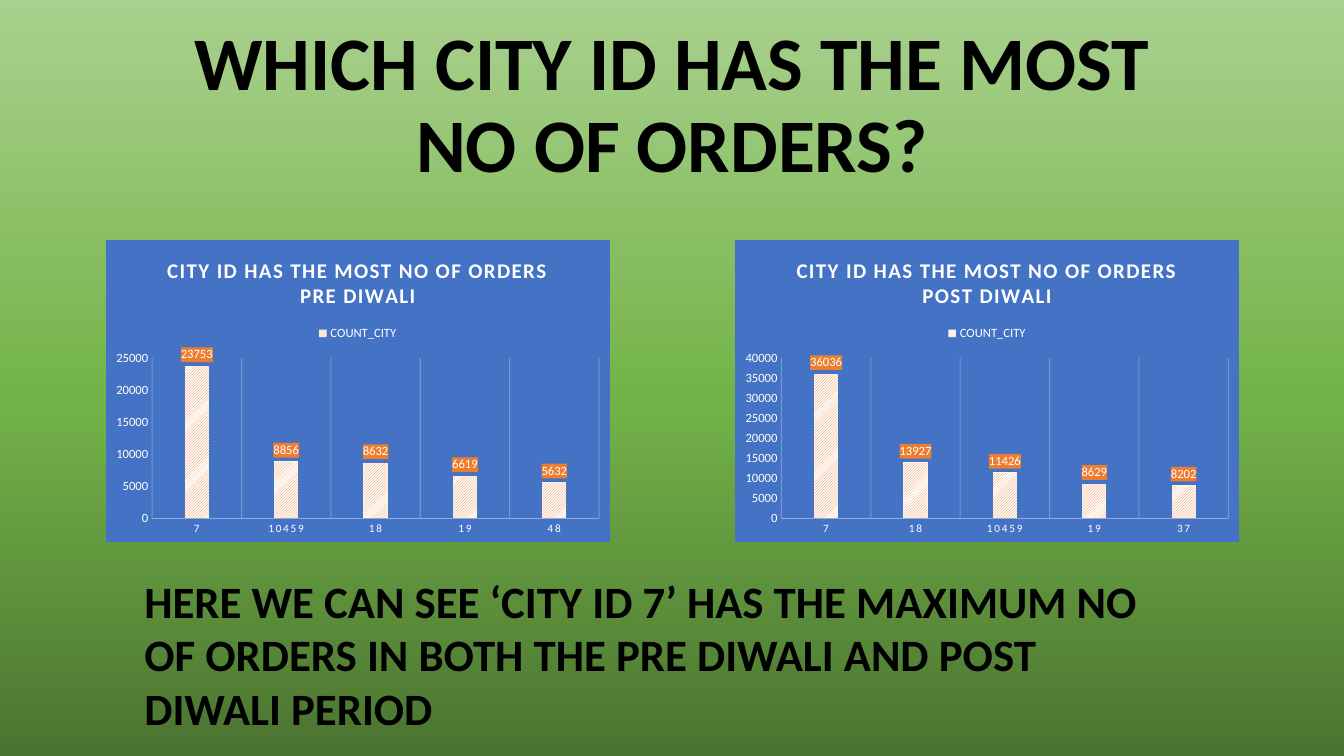
from lxml.etree import SubElement
from pptx import Presentation
from pptx.chart.data import CategoryChartData
from pptx.dml.color import RGBColor
from pptx.enum.chart import (XL_CHART_TYPE, XL_LABEL_POSITION as LabelPos,
                             XL_LEGEND_POSITION as LegendPos, XL_TICK_MARK as Tick)
from pptx.enum.dml import MSO_PATTERN
from pptx.enum.text import MSO_ANCHOR as Anchor, PP_ALIGN as Align
from pptx.oxml import parse_xml
from pptx.oxml.ns import nsdecls, qn
from pptx.util import Pt


def rgb(color):
    return RGBColor.from_string(color)


class Deck:
    FONT = "Calibri"
    WHITE, BLACK = "FFFFFF", "000000"
    BLUE, PALE_BLUE, ORANGE = "4472C4", "8FAADC", "ED7D31"

    def __init__(self, width, height):
        self.prs = Presentation()
        self.prs.slide_width, self.prs.slide_height = Pt(width), Pt(height)
        self.slide = self.prs.slides.add_slide(self.prs.slide_layouts[6])

    def style(self, font, size, color, bold=False):
        font.name, font.size, font.bold = self.FONT, Pt(size), bold
        font.color.rgb = rgb(color)

    def background(self, stops, angle):
        fill = self.slide.background.fill
        fill.gradient()
        fill.gradient_angle = angle
        stop_list = self.slide.background._cSld.find(".//" + qn("a:gsLst"))
        for old in list(stop_list):
            stop_list.remove(old)
        for position, color in stops:
            stop = SubElement(stop_list, qn("a:gs"), pos=str(position * 1000))
            SubElement(stop, qn("a:srgbClr"), val=color)

    def text(self, box, text, size, align=Align.LEFT, anchor=Anchor.TOP, spacing=1.0):
        tf = self.slide.shapes.add_textbox(*map(Pt, box)).text_frame
        tf.word_wrap, tf.vertical_anchor = True, anchor
        p = tf.paragraphs[0]
        p.text, p.alignment, p.line_spacing = text, align, spacing
        self.style(p.runs[0].font, size, self.BLACK, bold=True)

    def solid(self, tag, color, line=""):
        return parse_xml(f'<{tag} {nsdecls("c", "a")}><a:solidFill><a:srgbClr val="{color}"/>'
                         f'</a:solidFill>{line}</{tag}>')

    def column_chart(self, box, title, series_name, counts, top, step):
        data = CategoryChartData()
        data.categories = list(counts)
        data.add_series(series_name, counts.values())
        chart = self.slide.shapes.add_chart(
            XL_CHART_TYPE.COLUMN_CLUSTERED, *map(Pt, box), data).chart
        self.style(chart.font, 10, self.BLACK)
        border = (f'<a:ln w="9525"><a:solidFill><a:srgbClr val="{self.BLUE}"/>'
                  '</a:solidFill></a:ln>')
        chart._chartSpace.find(qn("c:chart")).addnext(self.solid("c:spPr", self.BLUE, border))

        # Title and legend
        tf = chart.chart_title.text_frame
        tf.text = title
        r = tf.paragraphs[0].runs[0]
        self.style(r.font, 15, self.WHITE, bold=True)
        r.font._element.set("spc", "100")
        chart.chart_title.include_in_layout = False
        chart.has_legend = True
        chart.legend.position = LegendPos.TOP
        chart.legend.include_in_layout = False
        self.style(chart.legend.font, 9, self.WHITE)

        # Axes
        cat, val = chart.category_axis, chart.value_axis
        for axis, size in ((cat, 8), (val, 9)):
            self.style(axis.tick_labels.font, size, self.WHITE)
            axis.major_tick_mark = axis.minor_tick_mark = Tick.NONE
        cat.tick_labels.font._element.set("spc", "120")
        cat.format.line.color.rgb = rgb(self.PALE_BLUE)
        cat.format.line.width = Pt(0.25)
        cat.has_major_gridlines = True
        grid = cat.major_gridlines.format.line
        grid.color.rgb, grid.width = rgb(self.WHITE), Pt(0.75)
        grid_color = cat._element.find(f'{qn("c:majorGridlines")}//{qn("a:srgbClr")}')
        SubElement(grid_color, qn("a:alpha"), val="25000")
        val.has_major_gridlines = False
        val.format.line.fill.background()
        val.minimum_scale, val.maximum_scale, val.major_unit = 0, top, step

        # Hatched columns with value labels
        plot = chart.plots[0]
        plot.gap_width, plot.overlap, plot.vary_by_categories = 269, -20, False
        series = plot.series[0]
        fill = series.format.fill
        fill.patterned()
        fill.pattern = MSO_PATTERN.LIGHT_UPWARD_DIAGONAL
        fill.fore_color.rgb, fill.back_color.rgb = rgb(self.ORANGE), rgb(self.WHITE)
        labels = series.data_labels
        labels.show_value, labels.position = True, LabelPos.OUTSIDE_END
        self.style(labels.font, 9, self.WHITE)
        labels._element.find(qn("c:txPr")).addprevious(self.solid("c:spPr", self.ORANGE))


def main():
    deck = Deck(960, 540)
    deck.background([(0, "4B7430"), (48, "74B349"), (100, "A9D18E")], angle=90)

    # Heading
    deck.text((120, 42.5, 720, 96), "WHICH CITY ID HAS THE MOST NO OF ORDERS?", 54,
              Align.CENTER, Anchor.BOTTOM, 0.9)

    # Orders by city before and after the festival
    periods = [
        ("PRE", {"7": 23753, "10459": 8856, "18": 8632, "19": 6619, "48": 5632}, 25000),
        ("POST", {"7": 36036, "18": 13927, "10459": 11426, "19": 8629, "37": 8202}, 40000),
    ]
    for i, (period, counts, top) in enumerate(periods):
        deck.column_chart((75.5 + 449.5 * i, 171.5, 360, 216),
                          f"CITY ID HAS THE MOST NO OF ORDERS {period} DIWALI",
                          "COUNT_CITY", counts, top, 5000)

    # Conclusion
    deck.text((96, 406, 744, 124), "HERE WE CAN SEE ‘CITY ID 7’ HAS THE MAXIMUM NO OF ORDERS "
              "IN BOTH THE PRE DIWALI AND POST DIWALI PERIOD", 32)
    deck.prs.save("out.pptx")


if __name__ == "__main__":
    main()
